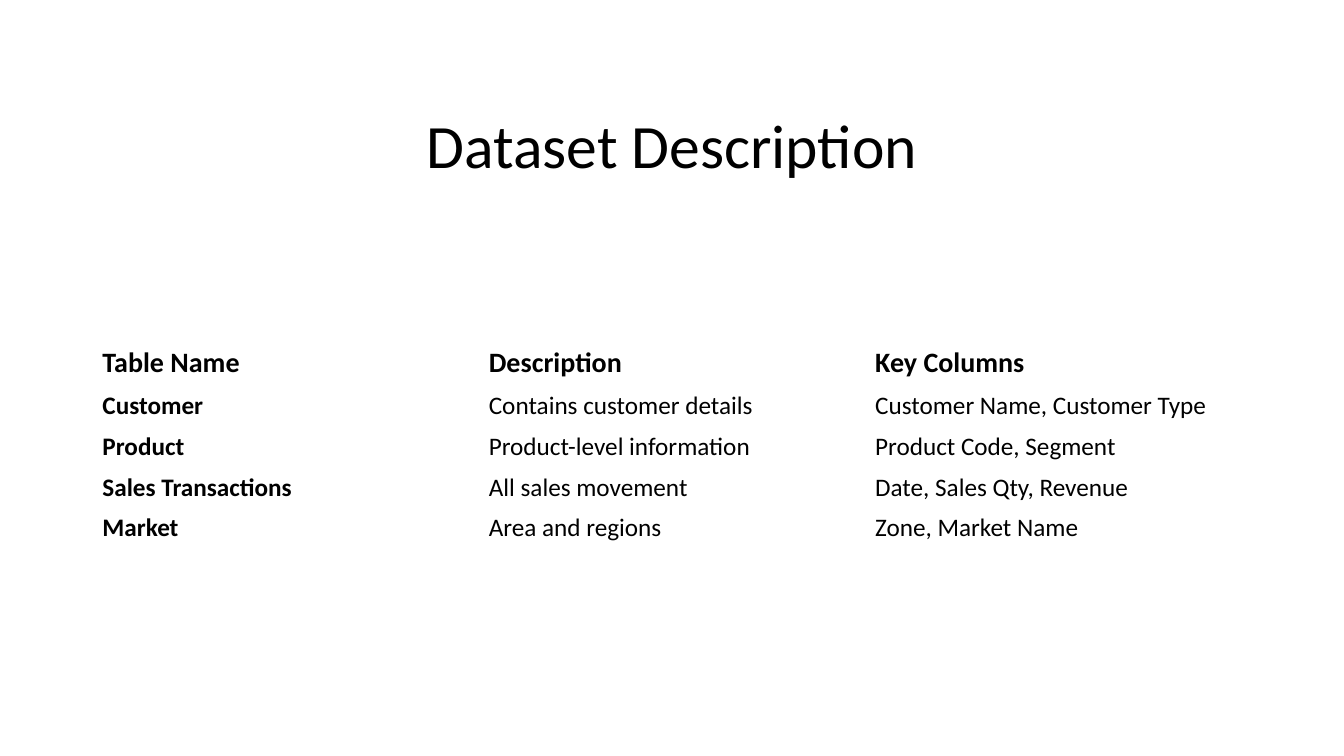
from pptx import Presentation
from pptx.dml.color import RGBColor
from pptx.enum.text import MSO_ANCHOR, PP_ALIGN
from pptx.util import Pt

LEFT, CENTER = PP_ALIGN.LEFT, PP_ALIGN.CENTER
MIDDLE, BOTTOM = MSO_ANCHOR.MIDDLE, MSO_ANCHOR.BOTTOM
TITLE_ONLY = 5

FONT = "Calibri"
COLORS = {"text": "000000", "background": "FFFFFF"}

HEADINGS = ("Table Name", "Description", "Key Columns")
DATASETS = (
    ("Customer", "Contains customer details", "Customer Name, Customer Type"),
    ("Product", "Product-level information", "Product Code, Segment"),
    ("Sales Transactions", "All sales movement", "Date, Sales Qty, Revenue"),
    ("Market", "Area and regions", "Zone, Market Name"),
)
HEADING_HEIGHT, DATASET_HEIGHT = 31.6, 29.2


def write(frame, text, size, bold=False, align=LEFT, line_spacing=1.0):
    paragraph = frame.paragraphs[0]
    paragraph.alignment = align
    paragraph.line_spacing = line_spacing
    run = paragraph.add_run()
    run.text = text
    run.font.name = FONT
    run.font.size = Pt(size)
    run.font.bold = bold
    run.font.color.rgb = RGBColor.from_string(COLORS["text"])


def place_title(slide, left, top, width, height):
    title = slide.shapes.title
    title.left, title.top = Pt(left), Pt(top)
    title.width, title.height = Pt(width), Pt(height)
    title.text_frame.vertical_anchor = BOTTOM
    write(title.text_frame, "Dataset Description", 44, align=CENTER, line_spacing=0.9)


def place_dataset_table(slide, left, top, width):
    rows = (HEADINGS, *DATASETS)
    height = HEADING_HEIGHT + DATASET_HEIGHT * len(DATASETS)
    datasets = slide.shapes.add_table(
        len(rows), len(HEADINGS), Pt(left), Pt(top), Pt(width), Pt(height)
    ).table
    datasets.horz_banding = False
    datasets.first_row = False

    for column in datasets.columns:
        column.width = Pt(width / len(HEADINGS))

    # Headings and dataset names are bold
    for r, entries in enumerate(rows):
        is_heading = r == 0
        datasets.rows[r].height = Pt(HEADING_HEIGHT if is_heading else DATASET_HEIGHT)
        for c, entry in enumerate(entries):
            cell = datasets.cell(r, c)
            cell.fill.background()
            cell.vertical_anchor = MIDDLE
            write(cell.text_frame, entry, 20 if is_heading else 18,
                  bold=is_heading or c == 0)


def main():
    prs = Presentation()
    prs.slide_width, prs.slide_height = Pt(960), Pt(540)
    slide = prs.slides.add_slide(prs.slide_layouts[TITLE_ONLY])
    slide.background.fill.solid()
    slide.background.fill.fore_color.rgb = RGBColor.from_string(COLORS["background"])

    place_title(slide, 66, 28.75, 828, 104.4)
    place_dataset_table(slide, 66, 243.4, 828)
    prs.save("out.pptx")


if __name__ == "__main__":
    main()
